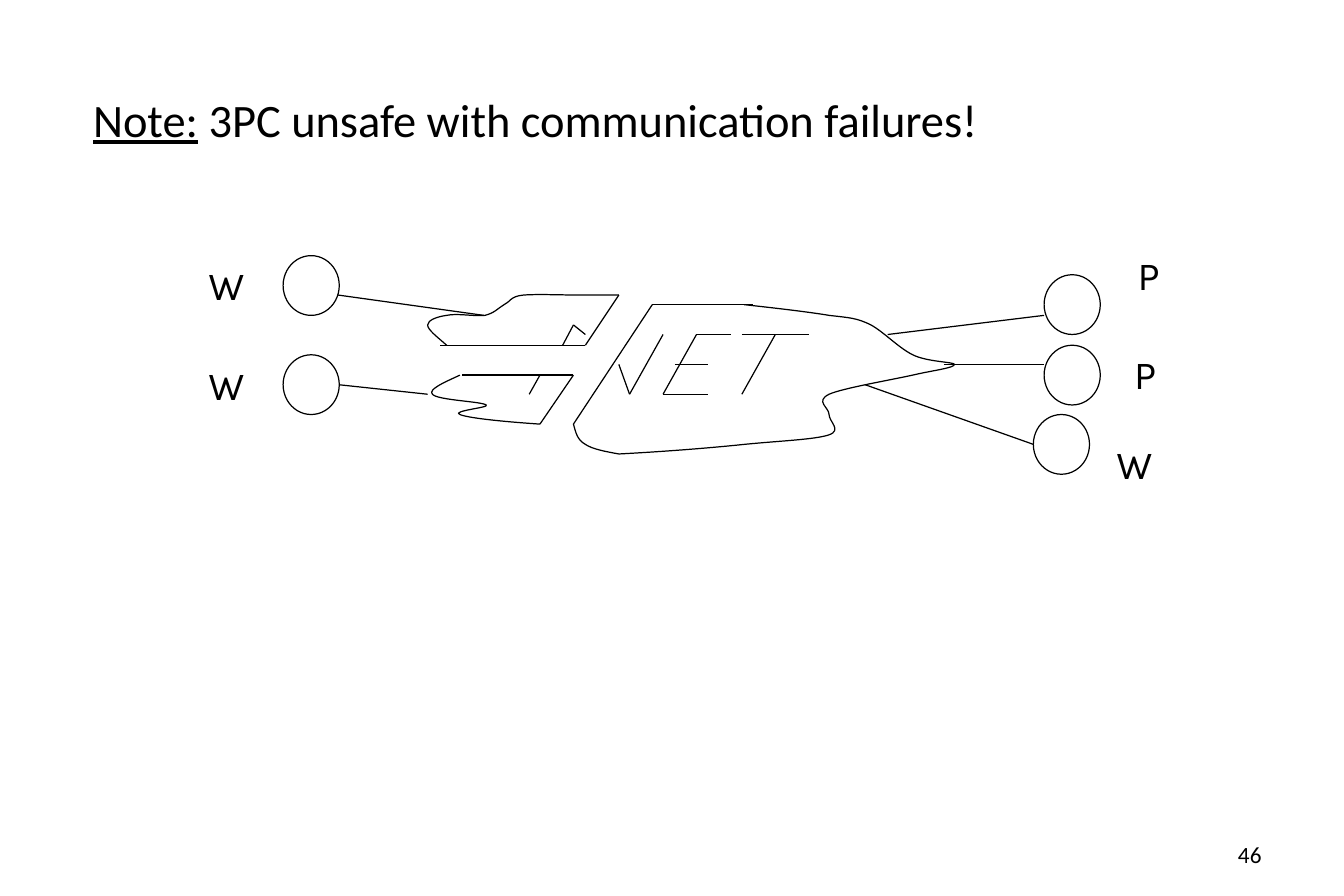
from typing import NamedTuple

from lxml import etree
from pptx import Presentation
from pptx import util as u
from pptx.dml.color import RGBColor
from pptx.enum import shapes, text
from pptx.oxml import ns

COLORS = {"ink": "000000", "paper": "FFFFFF"}
LINE_WIDTH = u.Pt(0.75)
NODE_WIDTH, NODE_HEIGHT = 0.47, 0.5

Point = tuple[float, float]


class Node(NamedTuple):
    state: str
    left: float
    top: float
    label_left: float
    label_top: float
    label_width: float


class Segment(NamedTuple):
    start: Point
    end: Point


class Curve(NamedTuple):
    start: Point
    beziers: list[tuple[Point, Point, Point]]


NODES = [
    Node("W", 2.37, 2.14, 1.64, 2.13, 0.51),
    Node("W", 2.37, 2.97, 1.64, 2.97, 0.51),
    Node("P", 8.74, 2.3, 9.42, 2.05, 0.39),
    Node("P", 8.74, 2.89, 9.39, 2.88, 0.39),
    Node("W", 8.65, 3.47, 9.24, 3.63, 0.51),
]

CLOUD_EDGES = [
    Segment((5.18, 2.47), (4.9, 2.89)),
    Segment((4.8, 3.14), (4.52, 3.55)),
    Segment((5.46, 2.55), (4.8, 3.55)),
    Segment((4.9, 2.89), (4.33, 2.89)),
    Segment((4.8, 3.14), (4.24, 3.14)),
    Segment((4.43, 3.14), (3.87, 3.14)),
    Segment((4.52, 2.89), (3.68, 2.89)),
    Segment((5.46, 2.55), (6.3, 2.55)),
]

NET_STROKES = [
    Segment((4.52, 3.14), (4.43, 3.3)),
    Segment((4.71, 2.89), (4.8, 2.72)),
    Segment((4.8, 2.72), (4.9, 2.8)),
    Segment((5.18, 3.05), (5.27, 3.3)),
    Segment((5.27, 3.3), (5.55, 2.8)),
    Segment((5.55, 3.3), (5.83, 2.8)),
    Segment((6.21, 3.3), (6.49, 2.8)),
    Segment((5.83, 2.8), (6.12, 2.8)),
    Segment((5.55, 3.3), (5.93, 3.3)),
    Segment((6.21, 2.8), (6.77, 2.8)),
    Segment((5.65, 3.05), (5.93, 3.05)),
]

NODE_LINKS = [
    Segment((2.83, 2.47), (4.05, 2.64)),
    Segment((2.83, 3.22), (3.58, 3.3)),
    Segment((7.43, 2.8), (8.74, 2.64)),
    Segment((7.9, 3.05), (8.74, 3.05)),
    Segment((7.24, 3.22), (8.65, 3.72)),
]

CLOUD_CURVES = [
    Curve((5.18, 2.47), [
        ((5.08, 2.47), (4.99, 2.47), (4.86, 2.47)),
        ((4.73, 2.47), (4.49, 2.46), (4.38, 2.47)),
        ((4.27, 2.48), (4.27, 2.53), (4.22, 2.55)),
        ((4.17, 2.58), (4.14, 2.62), (4.06, 2.64)),
        ((3.98, 2.65), (3.82, 2.62), (3.74, 2.64)),
        ((3.66, 2.65), (3.58, 2.68), (3.58, 2.72)),
        ((3.58, 2.76), (3.66, 2.82), (3.74, 2.89)),
    ]),
    Curve((3.85, 3.14), [
        ((3.72, 3.2), (3.58, 3.26), (3.62, 3.3)),
        ((3.66, 3.35), (4.03, 3.36), (4.07, 3.39)),
        ((4.11, 3.41), (3.77, 3.44), (3.85, 3.47)),
        ((3.92, 3.5), (4.22, 3.53), (4.52, 3.55)),
    ]),
    Curve((6.23, 2.55), [
        ((6.5, 2.58), (6.76, 2.61), (6.94, 2.64)),
        ((7.11, 2.66), (7.17, 2.66), (7.29, 2.72)),
        ((7.4, 2.78), (7.52, 2.91), (7.64, 2.97)),
        ((7.76, 3.03), (7.99, 3.03), (7.99, 3.05)),
        ((7.99, 3.08), (7.81, 3.1), (7.64, 3.14)),
        ((7.46, 3.18), (7.05, 3.25), (6.94, 3.3)),
        ((6.82, 3.36), (6.94, 3.41), (6.94, 3.47)),
        ((6.94, 3.53), (7.05, 3.6), (6.94, 3.64)),
        ((6.82, 3.68), (6.53, 3.69), (6.23, 3.72)),
        ((5.94, 3.75), (5.56, 3.78), (5.18, 3.8)),
    ]),
    Curve((5.18, 3.8), [
        ((5.07, 3.78), (4.96, 3.76), (4.9, 3.72)),
        ((4.83, 3.68), (4.82, 3.62), (4.8, 3.55)),
    ]),
]


def color(name: str) -> RGBColor:
    return RGBColor.from_string(COLORS[name])


def style_line(line) -> None:
    line.color.rgb = color("ink")
    line.width = LINE_WIDTH


def draw_segment(slide, segment: Segment) -> None:
    ends = [u.Inches(value) for value in segment.start + segment.end]
    connector = slide.shapes.add_connector(shapes.MSO_CONNECTOR.STRAIGHT, *ends)
    style_line(connector.line)
    etree.SubElement(connector._element.spPr, ns.qn("a:effectLst"))


def bend_lines(shape, beziers: list[tuple[Point, Point, Point]]) -> None:
    lines = list(shape._element.iter(ns.qn("a:lnTo")))
    for line, bezier in zip(lines, beziers):
        bend = etree.Element(ns.qn("a:cubicBezTo"))
        for x, y in bezier:
            etree.SubElement(bend, ns.qn("a:pt"), x=str(u.Inches(x) - shape.left),
                             y=str(u.Inches(y) - shape.top))
        line.getparent().replace(line, bend)


def draw_curve(slide, curve: Curve) -> None:
    builder = slide.shapes.build_freeform(*(u.Inches(value) for value in curve.start))
    anchors = [(u.Inches(x), u.Inches(y)) for _, _, (x, y) in curve.beziers]
    builder.add_line_segments(anchors, close=False)
    shape = builder.convert_to_shape()
    bend_lines(shape, curve.beziers)
    shape.shadow.inherit = False
    shape.fill.background()
    style_line(shape.line)


def add_text(slide, content: str, *, box: tuple[float, float, float, float], size: float,
             font: str = "Calibri", align=text.PP_ALIGN.LEFT, anchor=text.MSO_ANCHOR.MIDDLE,
             margins: tuple[float, float] = (0.12, 0.06), fitted: bool = False,
             underlined: str = "") -> None:
    shape = slide.shapes.add_textbox(*(u.Inches(value) for value in box))
    frame = shape.text_frame
    frame.word_wrap = not fitted
    if fitted:
        frame.auto_size = text.MSO_AUTO_SIZE.SHAPE_TO_FIT_TEXT
    frame.vertical_anchor = anchor
    frame.margin_left = frame.margin_right = u.Inches(margins[0])
    frame.margin_top = frame.margin_bottom = u.Inches(margins[1])
    paragraph = frame.paragraphs[0]
    paragraph.alignment = align
    for words, underline in ((underlined, True), (content, False)):
        if words:
            run = paragraph.add_run()
            run.text = words
            run.font.name = font
            run.font.size = u.Pt(size)
            run.font.underline = underline
            run.font.color.rgb = color("ink")


def draw_node(slide, node: Node) -> None:
    box = (node.left, node.top, NODE_WIDTH, NODE_HEIGHT)
    shape = slide.shapes.add_shape(shapes.MSO_SHAPE.OVAL, *(u.Inches(value) for value in box))
    shape.shadow.inherit = False
    shape.fill.solid()
    shape.fill.fore_color.rgb = color("paper")
    style_line(shape.line)
    add_text(slide, node.state, box=(node.label_left, node.label_top, node.label_width, 0.5),
             size=24, font="Karla", align=text.PP_ALIGN.CENTER, margins=(0.1, 0.05), fitted=True)


def main() -> None:
    presentation = Presentation()
    presentation.slide_width = u.Inches(11.25)
    presentation.slide_height = u.Inches(7.5)
    slide = presentation.slides.add_slide(presentation.slide_layouts[6])
    add_text(slide, "46", box=(8.06, 6.95, 2.62, 0.4), size=14, align=text.PP_ALIGN.RIGHT)
    add_text(slide, " 3PC unsafe with communication failures!", underlined="Note:",
             box=(0.66, 0.7, 9.56, 0.97), size=28, anchor=text.MSO_ANCHOR.TOP)
    for curve in CLOUD_CURVES:
        draw_curve(slide, curve)
    for segment in CLOUD_EDGES + NET_STROKES + NODE_LINKS:
        draw_segment(slide, segment)
    for node in NODES:
        draw_node(slide, node)
    presentation.save("out.pptx")


if __name__ == "__main__":
    main()
